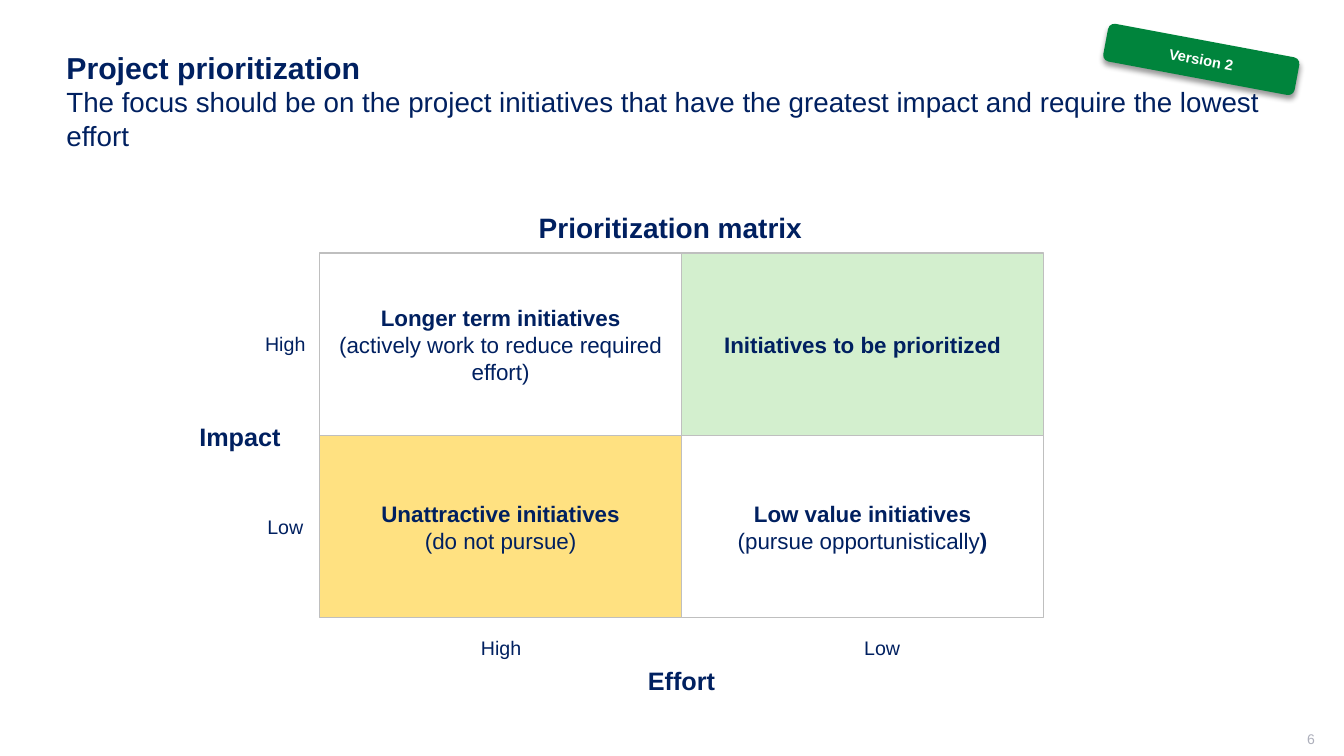
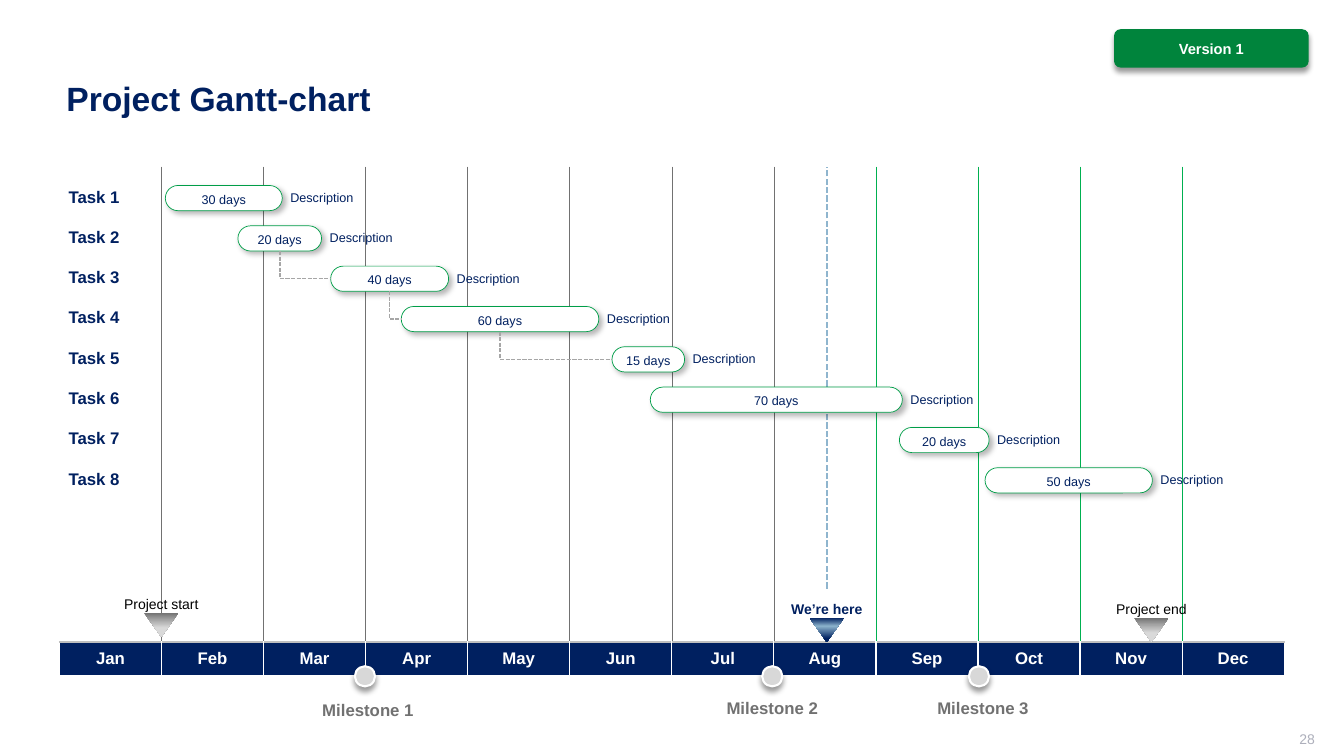
import pptx
import pptx.dml.color
import pptx.enum.dml
import pptx.enum.shapes
import pptx.enum.text
import pptx.oxml
import pptx.oxml.ns
import pptx.util

Inches, Pt = pptx.util.Inches, pptx.util.Pt
SHAPE = pptx.enum.shapes.MSO_SHAPE
CONNECTOR = pptx.enum.shapes.MSO_CONNECTOR
ALIGN = pptx.enum.text.PP_ALIGN
ANCHOR = pptx.enum.text.MSO_ANCHOR
DASH = pptx.enum.dml.MSO_LINE.SQUARE_DOT
qn = pptx.oxml.ns.qn

FONT = "Arial"
COLORS = {
    "navy": "002060", "white": "FFFFFF", "black": "000000", "badge": "00843C",
    "number": "ADAFBB", "border": "BFBFBF", "mint": "D3EFCE", "yellow": "FFE181",
    "grid_gray": "717171", "grid_green": "00B050", "bar": "009E48", "link": "A6A6A6",
    "today": "8FB5CE", "milestone": "717171", "dot": "D8D8D8",
}
INSETS = (0.1, 0.05, 0.1, 0.05)
NONE = (0, 0, 0, 0)
# Shadows: opacity in percent, direction in degrees
STRONG_SHADOW = (40, 90)
SOFT_SHADOW = (28, 45)

# Content: prioritization matrix
MATRIX_TITLE = [("Project prioritization", 21.6, True),
                ("\nThe focus should be on the project initiatives that have the greatest "
                 "impact and require the lowest effort", 19.8, False)]
QUADRANTS = [
    [("white", [("Longer term initiatives", 16, True),
                ("\n(actively work to reduce required effort)", 16, False)]),
     ("mint", [("Initiatives to be prioritized", 16, True)])],
    [("yellow", [("Unattractive initiatives", 16, True),
                 ("\n(do not pursue)", 16, False)]),
     ("white", [("Low value initiatives", 16, True),
                ("\n(pursue opportunistically", 16, False), (")", 16, True)])],
]
# Text, centre x, centre y, size, bold
MATRIX_LABELS = [
    ("Prioritization matrix", 6.65, 2.26, 20, True),
    ("Impact", 2.38, 4.33, 18, True), ("Effort", 6.76, 6.75, 18, True),
    ("High", 2.83, 3.41, 14, False), ("Low", 2.83, 5.23, 14, False),
    ("High", 4.97, 6.43, 14, False), ("Low", 8.75, 6.43, 14, False),
]

# Content: Gantt chart
GANTT_TITLE = [("Project Gantt-chart", 24, True)]
MONTHS = ["Jan", "Feb", "Mar", "Apr", "May", "Jun",
          "Jul", "Aug", "Sep", "Oct", "Nov", "Dec"]
# Name, duration, left, width, depends on the task above
TASKS = [
    ("Task 1", "30 days", 1.64, 1.16, False), ("Task 2", "20 days", 2.36, 0.83, False),
    ("Task 3", "40 days", 3.28, 1.17, True), ("Task 4", "60 days", 3.98, 1.96, True),
    ("Task 5", "15 days", 6.07, 0.72, True), ("Task 6", "70 days", 6.45, 2.5, False),
    ("Task 7", "20 days", 8.92, 0.89, False), ("Task 8", "50 days", 9.77, 1.66, False),
]
GRAY_STOPS = [(0, "717171"), (29, "A5A5A5"), (62, "D9D9D9")]
BLUE_STOPS = [(0, "002060"), (34, "8BB2CB"), (86, "002060")]
# Text, centre x, triangle top, colour, bold, gradient
MARKERS = [
    ("Project start", 1.6, 6.08, "black", False, GRAY_STOPS),
    ("Project end", 11.42, 6.13, "black", False, GRAY_STOPS),
    ("We’re here", 8.2, 6.13, "navy", True, BLUE_STOPS),
]
# Text, dot centre, label centre, label top
MILESTONES = [("Milestone 1", 3.62, 3.65, 6.98), ("Milestone 2", 7.66, 7.66, 6.96),
              ("Milestone 3", 9.71, 9.75, 6.96)]


def rgb(name):
    return pptx.dml.color.RGBColor.from_string(COLORS[name])


def drawing_xml(xml):
    return pptx.oxml.parse_xml(xml.replace(" ", f' {pptx.oxml.ns.nsdecls("a")} ', 1))


def write(frame, runs, color="navy", align=ALIGN.LEFT, anchor=ANCHOR.MIDDLE,
          insets=INSETS, spacing=None, wrap=True):
    """Fill a frame with runs of (text, size, bold); a leading newline breaks the line."""
    frame.word_wrap = wrap
    frame.vertical_anchor = anchor
    (frame.margin_left, frame.margin_top,
     frame.margin_right, frame.margin_bottom) = map(Inches, insets)
    para = frame.paragraphs[0]
    para.alignment = align
    if spacing:
        para.line_spacing = spacing
    for text, size, bold in runs:
        if text.startswith("\n"):
            para.add_line_break()
        span = para.add_run()
        span.text = text.lstrip("\n")
        span.font.name = FONT
        span.font.size = Pt(size)
        span.font.bold = bold
        span.font.color.rgb = rgb(color)


def add_text(page, at, runs, **style):
    box = page.shapes.add_textbox(*map(Inches, at))
    write(box.text_frame, runs, **style)
    return box


def add_shape(page, kind, at, fill=None, line=None, width=0.75, shadow=None):
    shape = page.shapes.add_shape(kind, *map(Inches, at))
    shape.shadow.inherit = False
    if fill:
        shape.fill.solid()
        shape.fill.fore_color.rgb = rgb(fill)
    if line:
        shape.line.color.rgb = rgb(line)
        shape.line.width = Pt(width)
    else:
        shape.line.fill.background()
    if shadow:
        opacity, angle = shadow
        shape._element.spPr.find(qn("a:effectLst")).append(drawing_xml(
            f'<a:outerShdw blurRad="{Pt(4)}" dist="{Pt(3)}" dir="{angle * 60000}" '
            f'algn="t" rotWithShape="0"><a:srgbClr val="000000">'
            f'<a:alpha val="{opacity * 1000}"/></a:srgbClr></a:outerShdw>'))
    return shape


def style_line(line, color, width):
    line.line.color.rgb = rgb(color)
    line.line.width = Pt(width)
    line.line.dash_style = DASH
    line._element.spPr.append(drawing_xml("<a:effectLst />"))


def add_page(deck, title, number, badge, badge_at, rotation=0, spacing=None):
    """Start a slide with the shared title, page number and version badge."""
    page = deck.slides.add_slide(deck.slide_layouts[6])
    add_text(page, (0.56, 0.4, 12.11, 1.19), title, spacing=spacing)
    add_text(page, (10.04, 7.25, 3, 0.21), [(number, 10, False)], color="number",
             align=ALIGN.RIGHT, insets=(0.1, 0, 0, 0.05))
    tag = add_shape(page, SHAPE.ROUNDED_RECTANGLE, (*badge_at, 1.93, 0.38), "badge",
                    shadow=STRONG_SHADOW)
    tag.rotation = rotation
    write(tag.text_frame, [(badge, 10.5, True)], color="white", align=ALIGN.CENTER)
    return page


def build_matrix(deck):
    page = add_page(deck, MATRIX_TITLE, "6", "Version 2", (10.95, 0.4), 10.6)
    left, top, width, height = 3.17, 2.51, 3.59, 1.81
    for row, quadrants in enumerate(QUADRANTS):
        for column, (fill, runs) in enumerate(quadrants):
            at = (left + column * width, top + row * height, width, height)
            quadrant = add_shape(page, SHAPE.RECTANGLE, at, fill, "border")
            write(quadrant.text_frame, runs, align=ALIGN.CENTER)
    for text, x, y, size, bold in MATRIX_LABELS:
        box_width = 4 if size == 20 else 1.2
        add_text(page, (x - box_width / 2, y - 0.2, box_width, 0.4),
                 [(text, size, bold)], align=ALIGN.CENTER, insets=NONE)


def set_borders(cell, **sides):
    """Set borders given as L, R, T, B = (colour, width)."""
    properties = cell._tc.get_or_add_tcPr()
    for place, side in enumerate("LRTB"):
        color, width = sides[side]
        properties.insert(place, drawing_xml(
            f'<a:ln{side} w="{Pt(width)}"><a:solidFill><a:srgbClr val="{COLORS[color]}"/>'
            f'</a:solidFill><a:prstDash val="solid"/></a:ln{side}>'))


def add_calendar(page):
    count = len(MONTHS)
    frame = page.shapes.add_table(2, count, *map(Inches, (0.59, 1.66, 12.15, 5.04)))
    table = frame.table
    table.first_row = table.horz_banding = False
    for row, height in zip(table.rows, (4.71, 0.33)):
        row.height = Inches(height)
    white = ("white", 1)
    dividers = [white] + [("grid_gray" if edge < 8 else "grid_green", 0.5)
                          for edge in range(1, count)] + [white]
    for column, month in enumerate(MONTHS):
        table.columns[column].width = Inches(12.15 / count)
        space, header = table.cell(0, column), table.cell(1, column)
        space.fill.background()
        set_borders(space, L=dividers[column], R=dividers[column + 1],
                    T=white, B=("border", 1))
        header.fill.solid()
        header.fill.fore_color.rgb = rgb("navy")
        set_borders(header, L=white, R=white, T=("border", 1), B=white)
        # Cells carry their own margins and anchor
        header.vertical_anchor = ANCHOR.MIDDLE
        header.margin_left = header.margin_right = 0
        header.margin_top = header.margin_bottom = 0
        para = header.text_frame.paragraphs[0]
        para.alignment = ALIGN.CENTER
        span = para.add_run()
        span.text = month
        span.font.name = FONT
        span.font.size = Pt(12)
        span.font.bold = True
        span.font.color.rgb = rgb("white")


def link_bars(page, first, second):
    """Draw an elbow down from the first bar's middle, then right to the second bar."""
    start_x, start_y = first.left + first.width // 2, first.top + first.height
    end_x, end_y = second.left, second.top + second.height // 2
    across, down = end_x - start_x, end_y - start_y
    link = page.shapes.add_connector(CONNECTOR.ELBOW, start_x, start_y, end_x, end_y)
    link.begin_connect(first, 2)
    link.end_connect(second, 1)
    # A quarter turn of a mirrored elbow, stored around the same centre
    link.left = (start_x + end_x - down) // 2
    link.top = (start_y + end_y - across) // 2
    link.width, link.height = down, across
    properties = link._element.spPr
    frame = properties.find(qn("a:xfrm"))
    frame.set("rot", str(270 * 60000))
    frame.set("flipH", "1")
    properties.find(qn("a:prstGeom")).set("prst", "bentConnector2")
    style_line(link, "link", 1)


def add_marker(page, text, x, top, color, bold, stops):
    triangle = add_shape(page, SHAPE.ISOSCELES_TRIANGLE, (x - 0.17, top, 0.34, 0.24))
    triangle.rotation = 180
    properties = triangle._element.spPr
    steps = "".join(f'<a:gs pos="{place * 1000}"><a:srgbClr val="{tone}"/></a:gs>'
                    for place, tone in stops)
    properties.find(qn("a:prstGeom")).addnext(drawing_xml(
        f'<a:gradFill rotWithShape="1"><a:gsLst>{steps}</a:gsLst>'
        f'<a:lin ang="{270 * 60000}" scaled="0"/></a:gradFill>'))
    add_text(page, (x - 0.87, top - 0.25, 1.74, 0.33), [(text, 10, bold)], color=color,
             align=ALIGN.CENTER, anchor=ANCHOR.BOTTOM, insets=(0, 0.08, 0, 0.12),
             spacing=0.8)


def build_gantt(deck):
    page = add_page(deck, GANTT_TITLE, "28", "Version 1", (11.05, 0.29), spacing=0.9)
    add_calendar(page)
    today = page.shapes.add_connector(CONNECTOR.STRAIGHT,
                                      *map(Inches, (8.2, 5.84, 8.2, 1.66)))
    style_line(today, "today", 1.5)

    # Task rows
    previous = None
    for row, (name, duration, left, width, linked) in enumerate(TASKS):
        top = 1.8 + row * 0.4
        add_text(page, (0.68, top, 0.79, 0.32), [(name, 12, True)], insets=NONE,
                 spacing=0.9)
        bar = add_shape(page, SHAPE.ROUNDED_RECTANGLE, (left, top + 0.04, width, 0.25),
                        "white", "bar", 0.5, SOFT_SHADOW)
        bar.adjustments[0] = 0.5
        write(bar.text_frame, [(duration, 9, False)], align=ALIGN.CENTER,
              insets=(0.1, 0.1, 0.1, 0.05), spacing=0.8, wrap=False)
        add_text(page, (left + width + 0.08, top + 0.01, 1.04, 0.32),
                 [("Description", 9, False)], insets=NONE, spacing=0.9)
        if linked:
            link_bars(page, previous, bar)
        previous = bar

    # Markers above and milestones below the months
    for marker in MARKERS:
        add_marker(page, *marker)
    for text, dot_x, label_x, top in MILESTONES:
        add_text(page, (label_x - 0.85, top, 1.7, 0.16), [(text, 12, True)],
                 color="milestone", align=ALIGN.CENTER, anchor=ANCHOR.TOP,
                 insets=NONE, spacing=0.8)
        add_shape(page, SHAPE.OVAL, (dot_x - 0.1, 6.61, 0.2, 0.2), "dot", "white", 1.5,
                  STRONG_SHADOW)


def main():
    deck = pptx.Presentation()
    deck.slide_width, deck.slide_height = Inches(13.33), Inches(7.5)
    build_matrix(deck)
    build_gantt(deck)
    deck.save("out.pptx")


if __name__ == "__main__":
    main()
